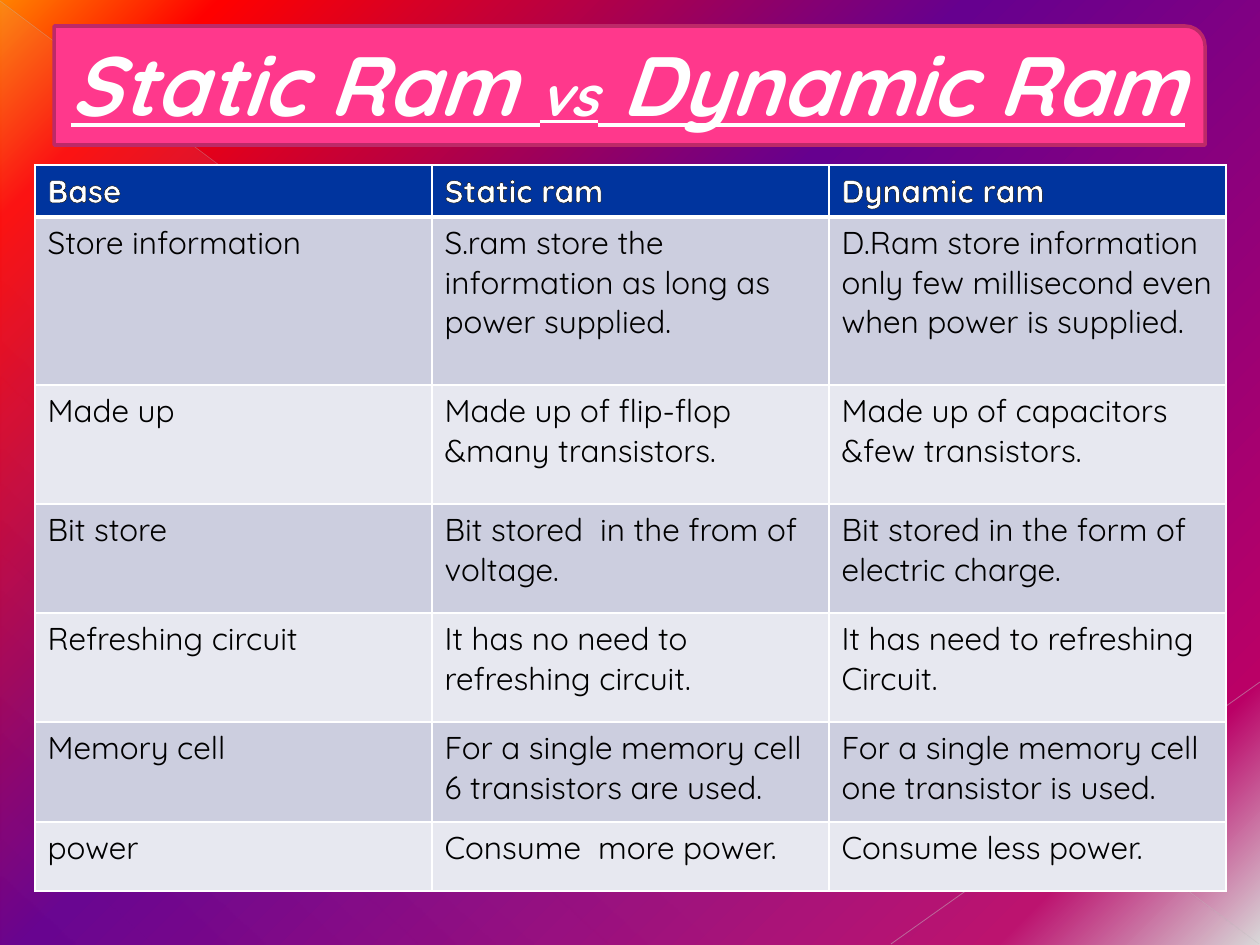
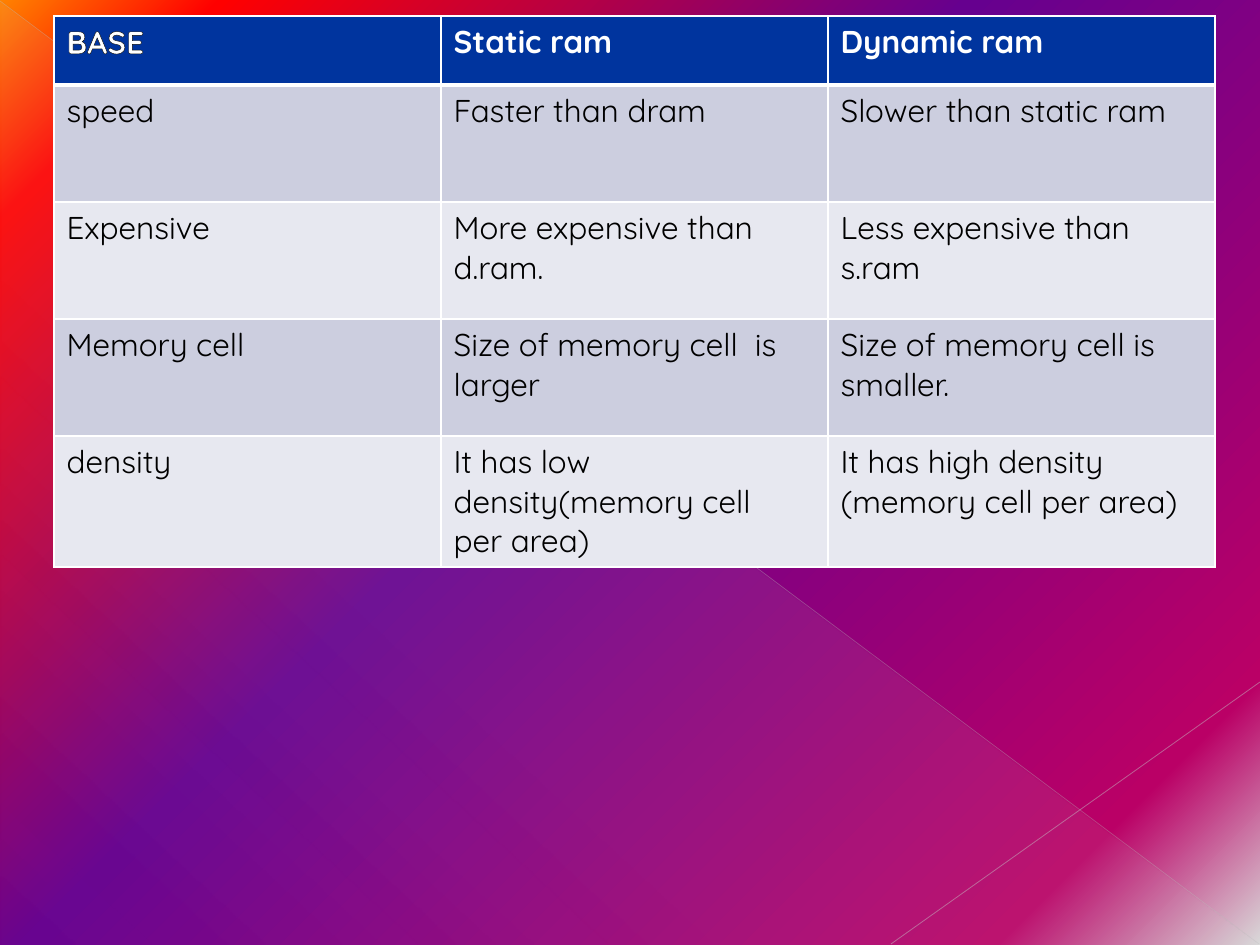
import lxml.etree
import pptx
import pptx.dml.color
import pptx.enum.shapes
import pptx.enum.text
import pptx.oxml
import pptx.oxml.ns
import pptx.util

RGB = pptx.dml.color.RGBColor
SHAPE = pptx.enum.shapes.MSO_SHAPE
STRAIGHT = pptx.enum.shapes.MSO_CONNECTOR.STRAIGHT

PX_PER_INCH = 126
FONT = "Quicksand"
WHITE = RGB(0xFF, 0xFF, 0xFF)
BLACK = RGB(0x00, 0x00, 0x00)
OUTLINE = RGB(0x0D, 0x0D, 0x0D)
HEADER_BLUE = RGB(0x00, 0x34, 0x9E)
BAND_DARK = RGB(0xCC, 0xCE, 0xDF)
BAND_LIGHT = RGB(0xE7, 0xE8, 0xF0)
TITLE_PINK = RGB(0xFF, 0x38, 0x8C)
TITLE_EDGE = RGB(0xBD, 0x29, 0x68)
SHEEN = RGB(0xD2, 0xD2, 0xD2)
LONG_DIAGONAL = RGB(0xBF, 0xBF, 0xBF)
SHORT_DIAGONAL = RGB(0xC6, 0xC6, 0xC6)

BACKGROUND_STOPS = [
    (0, RGB(0xD9, 0xD9, 0xD9), 100),
    (12, RGB(0xBA, 0x00, 0x66), 100),
    (56, RGB(0x66, 0x00, 0x8F), 100),
    (90, RGB(0xFF, 0x00, 0x00), 100),
    (100, RGB(0xFF, 0x82, 0x00), 100),
]
SHEEN_STOPS = [(0, SHEEN, 10), (70, SHEEN, 8), (100, SHEEN, 1)]
FROM_BOTTOM_RIGHT = '<a:path path="circle"><a:fillToRect l="100000" t="100000"/></a:path>'
SHEEN_ANGLE = '<a:lin ang="7980000" scaled="0"/>'

TITLE_FORMAT = {"name": FONT, "bold": True, "italic": True, "underline": True}
HEADER_FORMAT = {"name": FONT, "size": pptx.util.Pt(18), "bold": True}
BODY_FORMAT = {"name": FONT, "size": pptx.util.Pt(18), "bold": False}

TITLE_SPANS = [("Static Ram ", 48), ("vs", 32), (" Dynamic Ram", 48)]

STRUCTURE_ROWS = [
    ("Base", "Static ram", "Dynamic ram"),
    ("Store information",
     "S.ram store the information as long as power supplied.",
     "D.Ram store information only few millisecond even when power is supplied."),
    ("Made up",
     "Made up of flip-flop &many transistors.",
     "Made up of capacitors &few transistors."),
    ("Bit store",
     "Bit stored  in the from of voltage.",
     "Bit stored in the form of electric charge."),
    ("Refreshing circuit",
     "It has no need to refreshing circuit.",
     "It has need to refreshing\nCircuit."),
    ("Memory cell",
     "For a single memory cell 6 transistors are used.",
     "For a single memory cell one transistor is used."),
    ("power", "Consume  more power.", "Consume less power."),
]
PERFORMANCE_ROWS = [
    ("BASE", "Static ram", "Dynamic ram"),
    ("speed", "Faster than dram", "Slower than static ram"),
    ("Expensive", "More expensive than d.ram.", "Less expensive than s.ram"),
    ("Memory cell", "Size of memory cell  is larger", "Size of memory cell is smaller."),
    ("density",
     "It has low density(memory cell  per area)",
     "It has high density\v(memory cell per area)"),
]


def px(length):
    return pptx.util.Emu(round(length * 914400 / PX_PER_INCH))


def apply_format(target, values):
    for name, value in values.items():
        setattr(target, name, value)


def make_element(xml):
    namespace = pptx.oxml.ns.nsdecls("a")
    return pptx.oxml.parse_xml(xml.replace(" ", f" {namespace} ", 1))


def set_gradient(owner, stops, direction):
    gradient = owner.xpath(".//a:gradFill")[0]
    stop_xml = "".join(
        f'<a:gs pos="{position * 1000}"><a:srgbClr val="{color}">'
        f'<a:alpha val="{opacity * 1000}"/></a:srgbClr></a:gs>'
        for position, color, opacity in stops
    )
    replacement = make_element(
        f'<a:gradFill rotWithShape="1"><a:gsLst>{stop_xml}</a:gsLst>{direction}</a:gradFill>'
    )
    gradient.getparent().replace(gradient, replacement)


def add_preset(page, preset, left, top, width, height):
    shape = page.shapes.add_shape(preset, px(left), px(top), px(width), px(height))
    shape.shadow.inherit = False
    return shape


def add_faint_line(page, start, end, color, weight, opacity):
    line = page.shapes.add_connector(STRAIGHT, *map(px, start + end))
    line.line.color.rgb = color
    line.line.width = pptx.util.Pt(weight)
    ink = line.element.xpath("./p:spPr/a:ln//a:srgbClr")[0]
    alpha = lxml.etree.SubElement(ink, pptx.oxml.ns.qn("a:alpha"))
    alpha.set("val", str(opacity * 1000))
    lxml.etree.SubElement(line.element.spPr, pptx.oxml.ns.qn("a:effectLst"))
    return line


def build_master(deck, page):
    master = deck.slide_master
    master.background.fill.gradient()
    set_gradient(master.element, BACKGROUND_STOPS, FROM_BOTTOM_RIGHT)
    triangle = add_preset(page, SHAPE.RIGHT_TRIANGLE, 1, 2, 1258, 943)
    triangle.fill.gradient()
    set_gradient(triangle.element, SHEEN_STOPS, SHEEN_ANGLE)
    triangle.line.fill.background()
    decorations = [
        triangle,
        add_faint_line(page, (0, 1), (1259, 944), LONG_DIAGONAL, 0.39, 35),
        add_faint_line(page, (1260, 682), (891, 944), SHORT_DIAGONAL, 0.47, 45),
    ]
    for number, decoration in enumerate(decorations, start=20):
        decoration.element.xpath(".//p:cNvPr")[0].set("id", str(number))
        master.shapes.element.append(decoration.element)


def add_title(page):
    banner = add_preset(page, SHAPE.ROUND_1_RECTANGLE, 54, 26, 1151, 119)
    banner.fill.solid()
    banner.fill.fore_color.rgb = TITLE_PINK
    banner.line.color.rgb = TITLE_EDGE
    banner.line.width = pptx.util.Pt(2)
    title = page.shapes.title
    apply_format(title, {"left": px(58), "top": px(26), "width": px(1142), "height": px(115)})
    apply_format(title.text_frame, {
        "word_wrap": False,
        "auto_size": pptx.enum.text.MSO_AUTO_SIZE.NONE,
        "vertical_anchor": pptx.enum.text.MSO_ANCHOR.TOP,
    })
    para = title.text_frame.paragraphs[0]
    para.alignment = pptx.enum.text.PP_ALIGN.LEFT
    for text, size in TITLE_SPANS:
        span = para.add_run()
        span.text = text
        apply_format(span.font, {**TITLE_FORMAT, "size": pptx.util.Pt(size)})
        span.font.color.rgb = WHITE
    page.shapes.element.append(title.element)


def outline_text(span):
    span.font.element if hasattr(span.font, "element") else None
    properties = span._r.get_or_add_rPr()
    properties.insert(0, make_element(
        f'<a:ln w="9525"><a:solidFill><a:srgbClr val="{OUTLINE}"/></a:solidFill></a:ln>'
    ))


def set_borders(cell, top, bottom):
    properties = cell._tc.get_or_add_tcPr()
    weights = {"L": 1, "R": 1, "T": top, "B": bottom}
    for index, (side, weight) in enumerate(weights.items()):
        properties.insert(index, make_element(
            f'<a:ln{side} w="{weight * 12700}"><a:solidFill>'
            f'<a:srgbClr val="{WHITE}"/></a:solidFill></a:ln{side}>'
        ))


def fill_cell(cell, text, row, outlined):
    is_header = row == 0
    cell.text = text
    cell.fill.solid()
    cell.fill.fore_color.rgb = HEADER_BLUE if is_header else (BAND_LIGHT, BAND_DARK)[row % 2]
    set_borders(cell, top=3 if row == 1 else 1, bottom=3 if is_header else 1)
    for para in cell.text_frame.paragraphs:
        for span in para.runs:
            apply_format(span.font, HEADER_FORMAT if is_header else BODY_FORMAT)
            span.font.color.rgb = WHITE if is_header else BLACK
            if outlined:
                outline_text(span)


def add_comparison(page, left, top, column_width, row_heights, rows, outlined_headers):
    columns = len(rows[0])
    frame = page.shapes.add_table(
        len(rows), columns, px(left), px(top), px(column_width * columns), px(sum(row_heights))
    )
    table = frame.table
    table.horz_banding = False
    for column in table.columns:
        column.width = px(column_width)
    for row, (height, texts) in enumerate(zip(row_heights, rows)):
        table.rows[row].height = px(height)
        for column, text in enumerate(texts):
            outlined = row == 0 and column < outlined_headers
            fill_cell(table.cell(row, column), text, row, outlined)


def main():
    deck = pptx.Presentation()
    apply_format(deck, {"slide_width": px(1260), "slide_height": px(945)})
    title_only, blank = deck.slide_layouts[5], deck.slide_layouts[6]

    structure = deck.slides.add_slide(title_only)
    build_master(deck, structure)
    add_comparison(structure, 35, 165, 397, [49, 168, 119, 109, 109, 100, 69],
                   STRUCTURE_ROWS, outlined_headers=3)
    add_title(structure)

    performance = deck.slides.add_slide(blank)
    add_comparison(performance, 54, 16, 387, [69] + [117] * 4,
                   PERFORMANCE_ROWS, outlined_headers=1)

    deck.save("out.pptx")


if __name__ == "__main__":
    main()
